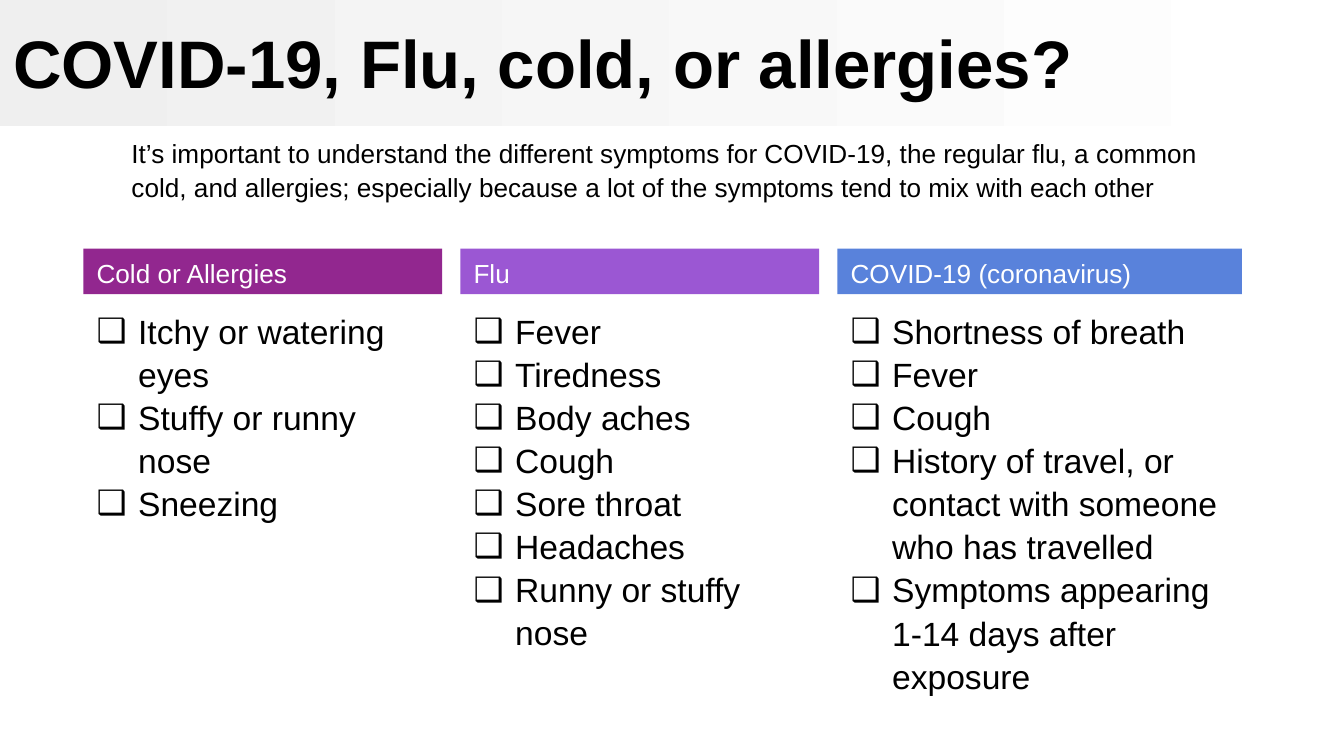
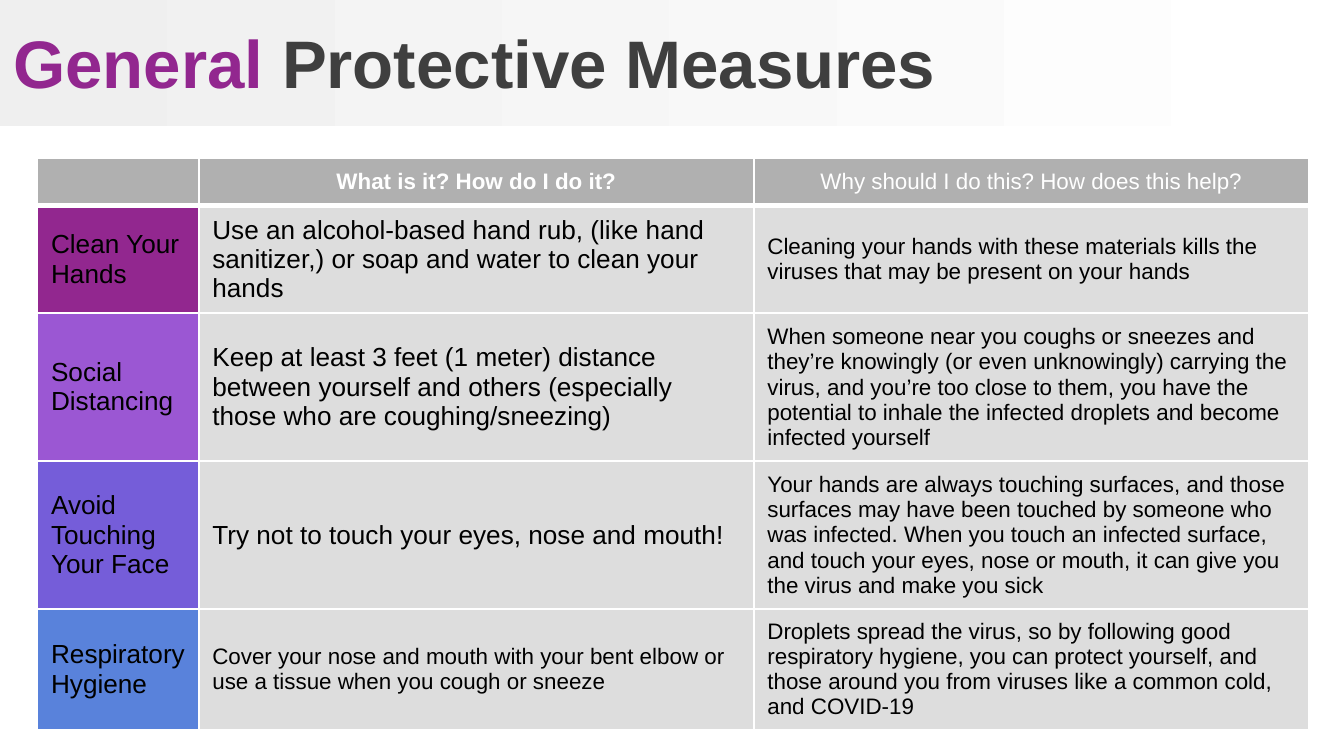
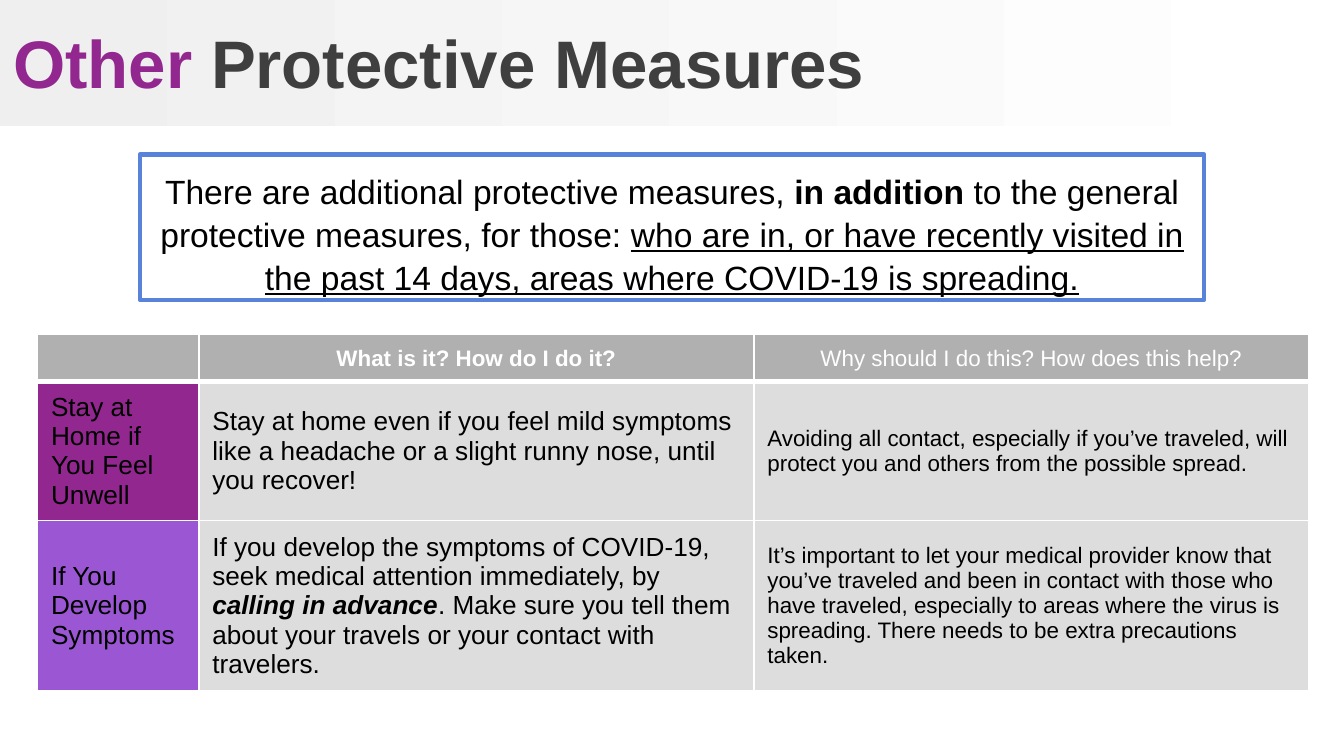
import dataclasses
import lxml.etree
import pptx
import pptx.dml.color
import pptx.enum.shapes
import pptx.enum.text
import pptx.oxml.ns
import pptx.util

WIDE, HIGH = 10, 10 * 9 / 16
COLS = 100
CELL = WIDE / COLS
ROWS = HIGH / CELL
ALIGN = pptx.enum.text.PP_ALIGN
ANCHOR = pptx.enum.text.MSO_ANCHOR
RECT = pptx.enum.shapes.MSO_SHAPE.RECTANGLE


@dataclasses.dataclass(frozen=True)
class Theme:
    """Colours, type sizes and spacing of the deck."""
    font: str = "Arial"
    black: str = "000000"
    white: str = "FFFFFF"
    dark: str = "3F3F3F"
    plum: str = "92278F"
    violet: str = "9B57D3"
    indigo: str = "755DD9"
    blue: str = "5982DB"
    head: str = "B0B0B0"
    body: str = "DDDDDD"
    pale: str = "EFEFEF"
    title: int = 36
    large: int = 18
    mid: int = 14
    small: int = 12
    space: float = 1.07


@dataclasses.dataclass(frozen=True)
class Box:
    """A region measured in grid columns and rows."""
    x: float
    y: float
    w: float
    h: float

    def inner(self, x, y, w, h):
        """Return a region placed relative to this one."""
        return Box(self.x + x, self.y + y, w, h)

    def place(self):
        """Return left, top, width and height as lengths."""
        return [span(n) for n in (self.x, self.y, self.w, self.h)]


T = Theme()
PAGE = Box(0, 0, COLS, ROWS)


def span(cells):
    """Turn grid cells into a length."""
    return pptx.util.Inches(cells * CELL)


def tint(code):
    """Turn a hex code into a colour."""
    return pptx.dml.color.RGBColor.from_string(code)


def node(parent, tag, **attrs):
    """Append a drawing element."""
    return lxml.etree.SubElement(parent, pptx.oxml.ns.qn("a:" + tag), attrs)


def paint(item, code):
    """Fill a shape or cell with one colour."""
    item.fill.solid()
    item.fill.fore_color.rgb = tint(code)


def write(para, runs, size, color=T.black, align=ALIGN.LEFT, space=None):
    """Add runs of (text, style letters, colour) to a paragraph."""
    para.alignment = align
    if space:
        para.line_spacing = space
    for text, style, own in runs:
        run = para.add_run()
        run.text = text
        font = run.font
        font.name, font.size = T.font, pptx.util.Pt(size)
        font.bold, font.italic, font.underline = (k in style for k in "biu")
        font.color.rgb = tint(own or color)


def plain(text, style=""):
    """Wrap one text as a list with a single run."""
    return [(text, style, None)]


def label(slide, box, inset=0.5):
    """Add a wrapping text box and return its frame."""
    frame = slide.shapes.add_textbox(*box.place()).text_frame
    frame.word_wrap = True
    frame.margin_top = frame.margin_bottom = span(inset)
    return frame


def block(slide, box):
    """Add a rectangle without line or shadow, with text at the top."""
    shape = slide.shapes.add_shape(RECT, *box.place())
    shape.shadow.inherit = False
    shape.line.fill.background()
    shape.text_frame.word_wrap = True
    shape.text_frame.vertical_anchor = ANCHOR.TOP
    return shape


def header(slide, box, runs):
    """Draw the fading band and the title over it."""
    fill = block(slide, box.inner(0, 0, 99.6, 9.4)).fill
    fill.gradient()
    fill.gradient_angle = 0
    for stop, code in zip(fill.gradient_stops, (T.pale, T.white)):
        stop.color.rgb = tint(code)
    frame = label(slide, box.inner(0, 0.3, box.w, 8.5))
    frame.vertical_anchor = ANCHOR.MIDDLE
    write(frame.paragraphs[0], runs, T.title)


def bullet(para):
    """Give a paragraph a hanging check box."""
    props = para._p.get_or_add_pPr()
    props.set("marL", str(span(3.1)))
    props.set("indent", str(-span(3.1)))
    node(node(props, "buClr"), "srgbClr", val=T.black)
    node(props, "buFont", typeface=T.font)
    node(props, "buChar", char="❑")


def listing(slide, box, name, code, items, wide):
    """Draw a coloured heading with its symptom list below."""
    band = block(slide, box.inner(0, 0, box.w, 3.4))
    paint(band, code)
    write(band.text_frame.paragraphs[0], plain(name), T.mid, T.white, space=T.space)
    frame = label(slide, box.inner(0, 3.4, wide, box.h - 3.4), 1)
    for i, item in enumerate(items):
        para = frame.add_paragraph() if i else frame.paragraphs[0]
        write(para, plain(item), T.large, space=T.space)
        bullet(para)


def edge(cell, top, bottom):
    """Draw white borders around a cell."""
    props = cell._tc.get_or_add_tcPr()
    for side, width in zip("LRTB", (1, 1, top, bottom)):
        line = node(props, "ln" + side, w=str(pptx.util.Pt(width)))
        node(node(line, "solidFill"), "srgbClr", val=T.white)


def advice(slide, box, rows):
    """Draw the table of measures from (label, colour, what, why, size) rows."""
    frame = slide.shapes.add_table(len(rows) + 1, 3, *box.place())
    table = frame.table
    table.horz_banding = False
    for col, wide in zip(table.columns, (12, 41.3, 41.3)):
        col.width = span(wide)
    for row in table.rows:
        row.height = span(3.5)
    frame.height = span(box.h)

    grid = [[([], T.head, T.small),
             (plain("What is it? How do I do it?", "b"), T.head, T.small),
             (plain("Why should I do this? How does this help?"), T.head, T.small)]]
    for name, code, what, why, size in rows:
        grid.append([(plain(name), code, T.mid), (what, T.body, size),
                     (plain(why), T.body, T.small)])

    for r, line in enumerate(grid):
        ink, align = (T.black, ALIGN.LEFT) if r else (T.white, ALIGN.CENTER)
        for c, (runs, code, size) in enumerate(line):
            cell = table.cell(r, c)
            edge(cell, 3 if r == 1 else 1, 1 if r else 3)
            paint(cell, code)
            cell.vertical_anchor = ANCHOR.MIDDLE
            para = cell.text_frame.paragraphs[0]
            write(para, runs, size, ink, align)
            if not runs:
                node(para._p, "endParaRPr", sz=str(size * 100))


def notice(slide, box, runs):
    """Draw an outlined box with centred text."""
    shape = block(slide, box)
    shape.fill.background()
    shape.line.color.rgb = tint(T.blue)
    shape.line.width = pptx.util.Pt(2.25)
    frame = shape.text_frame
    frame.margin_top = frame.margin_bottom = span(1)
    write(frame.paragraphs[0], runs, T.large, align=ALIGN.CENTER, space=T.space)


def compare(slide, box):
    """Build the slide that compares symptoms."""
    header(slide, box, plain("COVID-19, Flu, cold, or allergies?", "b"))
    lists = [
        ("Cold or Allergies", T.plum, 26.7, 26.7, 19.3,
         ["Itchy or watering eyes", "Stuffy or runny nose", "Sneezing"]),
        ("Flu", T.violet, 26.7, 26.7, 29.1,
         ["Fever", "Tiredness", "Body aches", "Cough", "Sore throat",
          "Headaches", "Runny or stuffy nose"]),
        ("COVID-19 (coronavirus)", T.blue, 30.1, 31.5, 37.5,
         ["Shortness of breath", "Fever", "Cough",
          "History of travel, or contact with someone who has travelled",
          "Symptoms appearing 1-14 days after exposure"]),
    ]
    left, gap = 6.2, 1.35
    for name, code, wide, room, high, items in lists:
        listing(slide, box.inner(left, 18.5, wide, high), name, code, items, room)
        left += wide + gap
    intro = label(slide, box.inner(8.8, 9.6, 82.5, 5.7))
    write(intro.paragraphs[0], plain(
        "It’s important to understand the different symptoms for COVID-19, the "
        "regular flu, a common cold, and allergies; especially because a lot of "
        "the symptoms tend to mix with each other"), T.mid, space=T.space)


def measures(slide, box, kind, top, high, rows):
    """Build a slide with a two-colour title and a table."""
    header(slide, box, [(kind, "b", T.plum), (" Protective Measures", "b", T.dark)])
    advice(slide, box.inner(2.8, top, 94.6, high), rows)


def general(slide, box):
    """Build the slide of general measures."""
    measures(slide, box, "General", 11.8, 42.5, [
        ("Clean Your Hands", T.plum,
         plain("Use an alcohol-based hand rub, (like hand sanitizer,) or soap and "
               "water to clean your hands"),
         "Cleaning your hands with these materials kills the viruses that may be "
         "present on your hands", T.mid),
        ("Social Distancing", T.violet,
         plain("Keep at least 3 feet (1 meter) distance between yourself and others "
               "(especially those who are coughing/sneezing)"),
         "When someone near you coughs or sneezes and they’re knowingly (or even "
         "unknowingly) carrying the virus, and you’re too close to them, you have "
         "the potential to inhale the infected droplets and become infected "
         "yourself", T.mid),
        ("Avoid Touching Your Face", T.indigo,
         plain("Try not to touch your eyes, nose and mouth!"),
         "Your hands are always touching surfaces, and those surfaces may have been "
         "touched by someone who was infected. When you touch an infected surface, "
         "and touch your eyes, nose or mouth, it can give you the virus and make "
         "you sick", T.mid),
        ("Respiratory Hygiene", T.blue,
         plain("Cover your nose and mouth with your bent elbow or use a tissue when "
               "you cough or sneeze"),
         "Droplets spread the virus, so by following good respiratory hygiene, you "
         "can protect yourself, and those around you from viruses like a common "
         "cold, and COVID-19", T.small),
    ])


def other(slide, box):
    """Build the slide of additional measures."""
    measures(slide, box, "Other", 24.9, 26.5, [
        ("Stay at Home if You Feel Unwell", T.plum,
         plain("Stay at home even if you feel mild symptoms like a headache or a "
               "slight runny nose, until you recover!"),
         "Avoiding all contact, especially if you’ve traveled, will protect you and "
         "others from the possible spread.", T.mid),
        ("If You Develop Symptoms", T.violet,
         plain("If you develop the symptoms of COVID-19, seek medical attention "
               "immediately, by ")
         + plain("calling in advance", "bi")
         + plain(". Make sure you tell them about your travels or your contact with "
                 "travelers."),
         "It’s important to let your medical provider know that you’ve traveled and "
         "been in contact with those who have traveled, especially to areas where "
         "the virus is spreading. There needs to be extra precautions taken.", T.mid),
    ])
    notice(slide, box.inner(10.4, 11.5, 79.2, 10.8),
           plain("There are additional protective measures, ")
           + plain("in addition", "b")
           + plain(" to the general protective measures, for those: ")
           + plain("who are in, or have recently visited in the past 14 days, areas "
                   "where COVID-19 is spreading.", "u"))


def main():
    """Build the deck and save it."""
    deck = pptx.Presentation()
    deck.slide_width, deck.slide_height = span(COLS), span(ROWS)
    for build in (compare, general, other):
        build(deck.slides.add_slide(deck.slide_layouts[6]), PAGE)
    deck.save("out.pptx")


if __name__ == "__main__":
    main()
